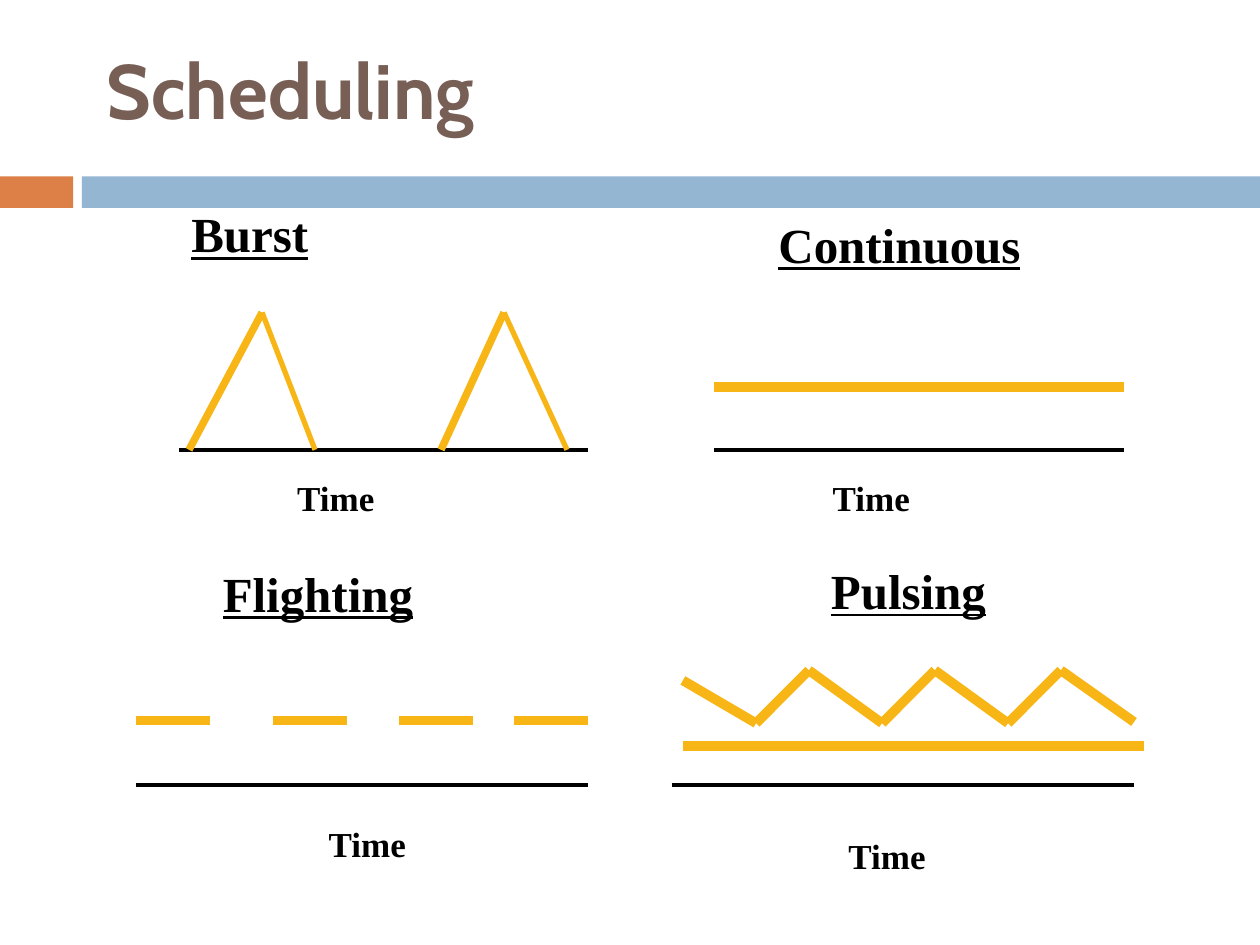
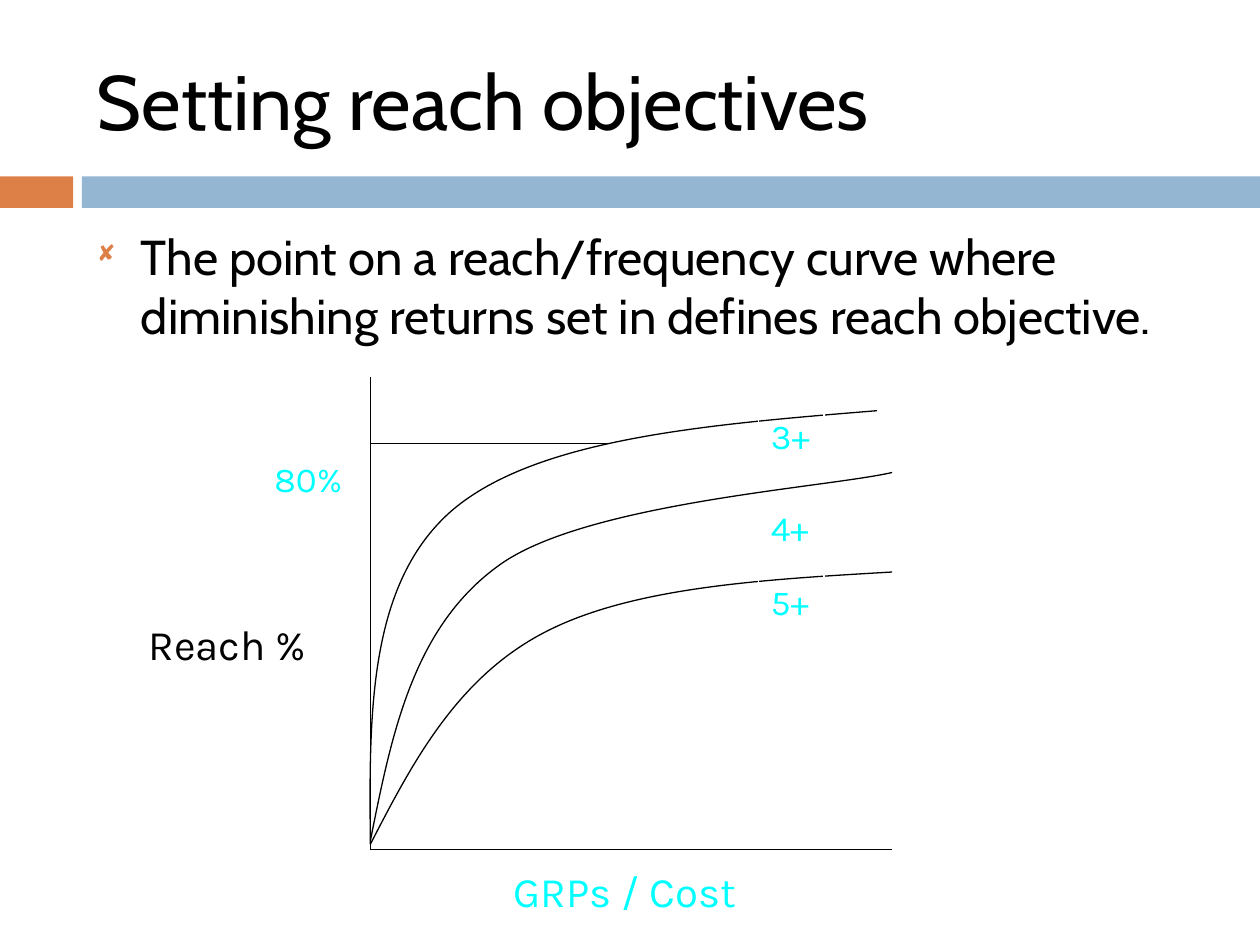
import itertools

import pptx
import pptx.dml.color
import pptx.enum.shapes
import pptx.enum.text
import pptx.util
from lxml import etree
from pptx.oxml import ns
from pptx.util import Inches

RGBColor = pptx.dml.color.RGBColor
ALIGN = pptx.enum.text.PP_ALIGN
ANCHOR = pptx.enum.text.MSO_ANCHOR

BLACK = RGBColor(0x00, 0x00, 0x00)
WHITE = RGBColor(0xFF, 0xFF, 0xFF)
ORANGE = RGBColor(0xDD, 0x80, 0x47)
BLUE = RGBColor(0x94, 0xB6, 0xD2)
BROWN = RGBColor(0x77, 0x5F, 0x55)
YELLOW = RGBColor(0xF7, 0xB6, 0x15)
CYAN = RGBColor(0x00, 0xFF, 0xFF)

TITLE_FONT = "Cabin"
SERIF_FONT = "Times New Roman"
LABEL_FONT = "Karla"

ACTIVITY_WIDTH = 5.5


def write_text(shape, text, font=TITLE_FONT, size=20, color=BLACK, bold=False,
               underline=False, align=ALIGN.LEFT, anchor=ANCHOR.TOP, wrap=True,
               bullet=None):
    frame = shape.text_frame
    frame.word_wrap = wrap
    frame.vertical_anchor = anchor
    para = frame.paragraphs[0]
    para.alignment = align
    if bullet:
        add_bullet(para, bullet)
    span = para.add_run()
    span.text = text
    span.font.name = font
    span.font.size = pptx.util.Pt(size)
    span.font.color.rgb = color
    span.font.bold = bold
    span.font.underline = underline


def add_bullet(para, character):
    """Give the paragraph a small orange bullet with a hanging indent."""
    properties = para._p.get_or_add_pPr()
    properties.set("marL", str(Inches(0.35)))
    properties.set("indent", str(Inches(-0.35)))
    bullet_color = etree.SubElement(properties, ns.qn("a:buClr"))
    etree.SubElement(bullet_color, ns.qn("a:srgbClr"), val=str(ORANGE))
    etree.SubElement(properties, ns.qn("a:buSzPct"), val="60000")
    etree.SubElement(properties, ns.qn("a:buFont"), typeface="Wingdings")
    etree.SubElement(properties, ns.qn("a:buChar"), char=character)


def bend_segments(shape):
    """Turn every three straight segments of a freeform into a cubic curve."""
    segments = list(shape._element.iter(ns.qn("a:lnTo")))
    for first, second, end in zip(*[iter(segments)] * 3):
        cubic = etree.Element(ns.qn("a:cubicBezTo"))
        first.addprevious(cubic)
        for segment in (first, second, end):
            cubic.append(segment[0])
            segment.getparent().remove(segment)


class Painter:
    """Holds the deck, the slide being drawn and their common style."""

    def __init__(self):
        self.deck = pptx.Presentation()
        self.deck.slide_width = Inches(10)
        self.deck.slide_height = Inches(7.5)
        self.page = None

    def new_page(self, title, left, top, width, height, **style):
        self.page = self.deck.slides.add_slide(self.deck.slide_layouts[6])
        self.page.background.fill.solid()
        self.page.background.fill.fore_color.rgb = WHITE
        self.rectangle(0, 1.4, 0.58, 0.25, fill=ORANGE)
        self.rectangle(0.65, 1.4, 9.35, 0.25, fill=BLUE)
        self.text(title, left, top, width, height, size=44,
                  anchor=ANCHOR.MIDDLE, **style)

    def rectangle(self, left, top, width, height, fill=None, outline=None):
        shape = self.page.shapes.add_shape(
            pptx.enum.shapes.MSO_SHAPE.RECTANGLE,
            Inches(left), Inches(top), Inches(width), Inches(height))
        shape.shadow.inherit = False
        if fill is None:
            shape.fill.background()
        else:
            shape.fill.solid()
            shape.fill.fore_color.rgb = fill
        if outline is None:
            shape.line.fill.background()
        else:
            shape.line.color.rgb = outline
            shape.line.width = pptx.util.Pt(0.75)
        return shape

    def text(self, text, left, top, width, height, **style):
        box = self.page.shapes.add_textbox(
            Inches(left), Inches(top), Inches(width), Inches(height))
        write_text(box, text, **style)

    def outlined_label(self, text, left, top, width, height, size=20):
        """Cyan label whose white outline interrupts the curves below it."""
        box = self.rectangle(left, top, width, height, outline=WHITE)
        write_text(box, text, font=LABEL_FONT, size=size, color=CYAN, wrap=False)

    def line(self, start, end, color=BLACK, width=0.75):
        connector = self.page.shapes.add_connector(
            pptx.enum.shapes.MSO_CONNECTOR.STRAIGHT,
            *(Inches(value) for value in (*start, *end)))
        connector.line.color.rgb = color
        connector.line.width = pptx.util.Pt(width)
        etree.SubElement(connector._element.spPr, ns.qn("a:effectLst"))

    def curve(self, start, *points):
        """Chain of cubic curves: two control points and an end for each."""
        builder = self.page.shapes.build_freeform(*map(Inches, start))
        builder.add_line_segments([(Inches(x), Inches(y)) for x, y in points],
                                  close=False)
        shape = builder.convert_to_shape()
        bend_segments(shape)
        shape.shadow.inherit = False
        shape.fill.background()
        shape.line.color.rgb = BLACK
        shape.line.width = pptx.util.Pt(0.75)

    def schedule(self, name, heading, axis, time, align=ALIGN.LEFT):
        """Heading, time axis and axis label of one scheduling pattern.

        heading and time are (left, top, width); axis is (left, right, y).
        """
        style = {"font": SERIF_FONT, "bold": True}
        self.text(name, *heading, 0.57, size=28, underline=True, align=align, **style)
        left, right, y = axis
        self.line((left, y), (right, y), width=2.25)
        self.text("Time", *time, 0.44, align=ALIGN.CENTER, **style)

    def activity(self, *points, width=ACTIVITY_WIDTH):
        for start, end in itertools.pairwise(points):
            self.line(start, end, YELLOW, width)


def draw_scheduling(painter):
    painter.new_page("Scheduling", 0.75, 0.08, 8.5, 1.25, color=BROWN, bold=True)

    painter.schedule("Continuous", (6.08, 1.65, 2.5), (5.67, 8.92, 3.57),
                     (5.83, 3.73, 2.17))
    painter.activity((5.67, 3.07), (8.92, 3.07))

    painter.schedule("Flighting", (1.67, 4.42, 2.5), (1.08, 4.67, 6.23),
                     (1.83, 6.48, 2.17))
    for left, right in ((1.08, 1.67), (2.17, 2.75), (3.17, 3.75), (4.08, 4.67)):
        painter.activity((left, 5.72), (right, 5.72))

    painter.schedule("Pulsing", (5.42, 4.4, 3.58), (5.33, 9, 6.23),
                     (5.5, 6.57, 3.08), align=ALIGN.CENTER)
    pulses = [point for valley in (6, 7, 8)
              for point in ((valley, 5.74), (valley + 0.42, 5.32))]
    painter.activity((5.42, 5.4), *pulses, (9, 5.73))
    painter.activity((5.42, 5.92), (9.08, 5.92))

    painter.schedule("Burst", (1.42, 1.57, 2.5), (1.42, 4.67, 3.57),
                     (1.58, 3.73, 2.17))
    for start, peak, end in ((1.5, 2.08, 2.5), (3.5, 4, 4.5)):
        painter.activity((start, 3.57), (peak, 2.48), width=4.25)
        painter.activity((peak, 2.48), (end, 3.57), width=3)


def draw_reach_objectives(painter):
    painter.new_page("Setting reach objectives", 0.67, 0.25, 8.92, 1.08)
    painter.text("The point on a reach/frequency curve where diminishing returns "
                 "set in defines reach objective.",
                 0.67, 1.75, 8.92, 4.92, size=28, bullet="◻")

    origin = (2.94, 6.74)
    painter.line((2.94, 2.99), origin)
    painter.line(origin, (7.08, 6.74))
    painter.curve((2.94, 6.7),
                  (3.28, 6.04), (3.63, 5.38), (4.32, 5.02),
                  (5.01, 4.66), (6.05, 4.6), (7.08, 4.54))
    painter.curve((2.94, 6.67),
                  (3.11, 5.82), (3.28, 4.97), (3.97, 4.48),
                  (4.66, 3.99), (6.56, 3.87), (7.08, 3.75))
    painter.curve((2.94, 6.7),
                  (2.93, 5.67), (2.92, 4.63), (3.59, 4.05),
                  (4.26, 3.48), (5.61, 3.37), (6.96, 3.26))
    painter.line((2.94, 3.52), (4.82, 3.52))

    painter.outlined_label("GRPs / Cost", 3.98, 6.82, 2, 0.5, size=24)
    painter.text("Reach %", 1.08, 4.86, 1.51, 0.5, font=LABEL_FONT, size=24,
                 wrap=False)
    painter.outlined_label("80%", 2.08, 3.58, 0.75, 0.44)
    for frequency, top in (("3+", 3.24), ("4+", 3.97), ("5+", 4.56)):
        painter.outlined_label(frequency, 6.02, top, 0.52, 0.44)


def main():
    painter = Painter()
    draw_scheduling(painter)
    draw_reach_objectives(painter)
    painter.deck.save("out.pptx")


if __name__ == "__main__":
    main()
